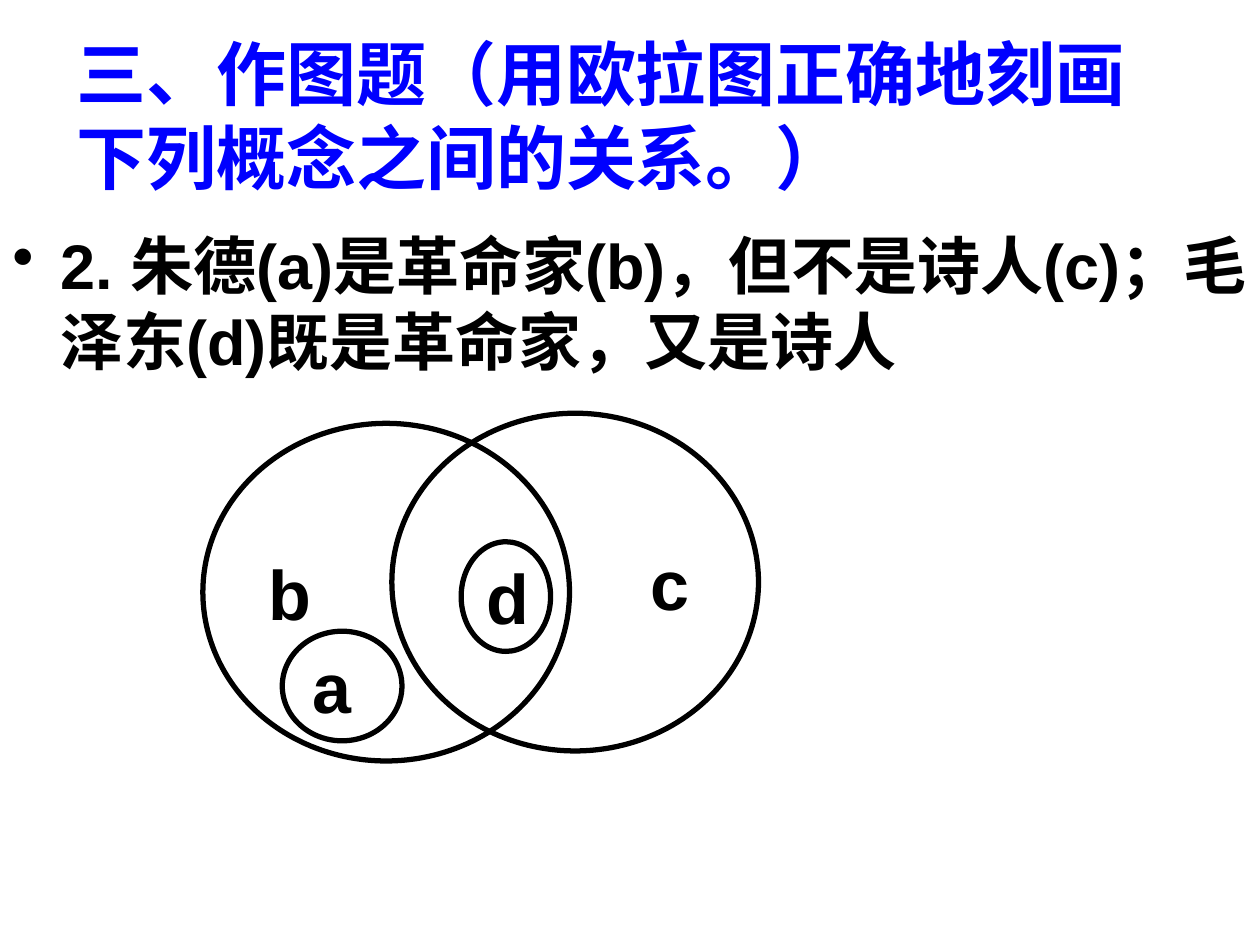
import pptx
import pptx.dml.color
import pptx.enum.shapes
import pptx.enum.text
import pptx.oxml
import pptx.oxml.ns
import pptx.util

Inches = pptx.util.Inches
ANCHOR = pptx.enum.text.MSO_ANCHOR

# Content
TITLE = "三、作图题（用欧拉图正确地刻画下列概念之间的关系。）"
QUESTION = "2. 朱德(a)是革命家(b)，但不是诗人(c)；毛泽东(d)既是革命家，又是诗人"
BLACK, BLUE = "000000", "0000FF"
LARGE = (2.91, 2.68)
# Concept, left and top, size, label inset from the left
CONCEPTS = [
    ("a", (2.24, 5.01), (0.95, 0.87), 0.1),
    ("b", (1.61, 3.36), LARGE, 0.1),
    ("c", (3.11, 3.28), LARGE, 1.63),
    ("d", (3.66, 4.3), (0.71, 0.87), 0.1),
]


def color(value):
    return pptx.dml.color.RGBColor.from_string(value)


def add_bullet(paragraph, indent):
    properties = paragraph._p.get_or_add_pPr()
    properties.set("marL", str(Inches(indent)))
    properties.set("indent", str(-Inches(indent)))
    namespace = pptx.oxml.ns.nsdecls("a")
    properties.append(pptx.oxml.parse_xml(f'<a:buChar {namespace} char="•"/>'))


def write(shape, text, size=40, fill=BLACK, anchor=ANCHOR.MIDDLE,
          wrap=True, inset=0.1, bullet_indent=None):
    frame = shape.text_frame
    frame.word_wrap = wrap
    frame.vertical_anchor = anchor
    frame.margin_left, frame.margin_right = Inches(inset), Inches(0.1)
    frame.margin_top = frame.margin_bottom = Inches(0.05)
    paragraph = frame.paragraphs[0]
    paragraph.text = text
    paragraph.alignment = pptx.enum.text.PP_ALIGN.LEFT
    if bullet_indent:
        add_bullet(paragraph, bullet_indent)
    font = paragraph.runs[0].font
    font.name, font.size, font.bold = "Arial", pptx.util.Pt(size), True
    font.color.rgb = color(fill)


presentation = pptx.Presentation()
presentation.slide_width, presentation.slide_height = Inches(10), Inches(7.5)
slide = presentation.slides.add_slide(presentation.slide_layouts[6])

# Title and question
title = slide.shapes.add_textbox(*map(Inches, (0.51, 0.28, 9, 1.25)))
write(title, TITLE, fill=BLUE)
question = slide.shapes.add_textbox(*map(Inches, (0, 1.75, 10, 5.75)))
write(question, QUESTION, size=36, anchor=ANCHOR.TOP, bullet_indent=0.38)

# Euler diagram
for label, position, size, inset in CONCEPTS:
    ellipse = slide.shapes.add_shape(
        pptx.enum.shapes.MSO_SHAPE.OVAL, *map(Inches, position + size))
    ellipse.shadow.inherit = False
    ellipse.fill.background()
    ellipse.line.color.rgb = color(BLACK)
    ellipse.line.width = pptx.util.Pt(3)
    write(ellipse, label, wrap=False, inset=inset)

presentation.save("out.pptx")
